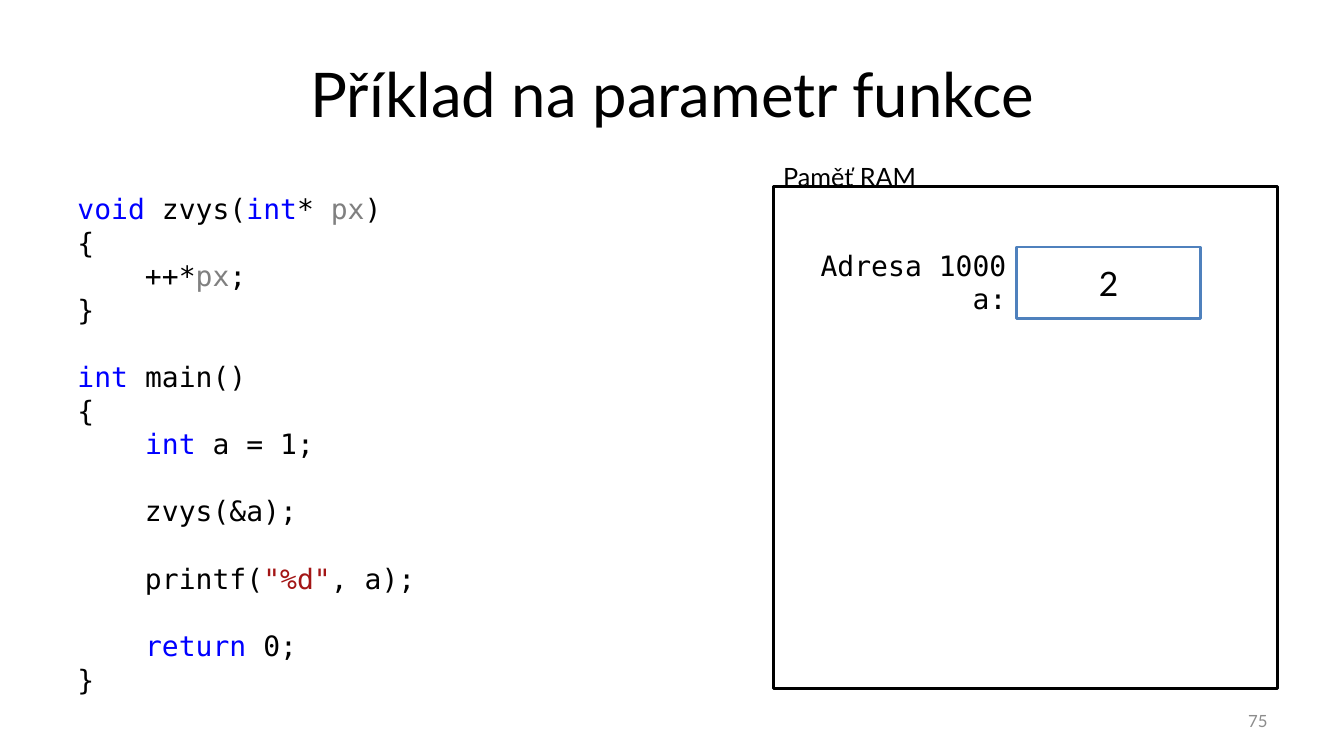
"""Build a slide showing a C pointer parameter beside a diagram of memory."""
import pptx
import pptx.util
import pptx.dml.color
import pptx.enum.shapes
import pptx.enum.text

TITLE = "Příklad na parametr funkce"
PAGE_NUMBER = "75"
MEMORY_LABEL = "Paměť RAM"
ADDRESS_LINES = ["Adresa 1000", "a:"]
STORED_VALUE = "2"
CODE_BLOCKS = [
    [
        [("void ", "keyword"), ("zvys(", "ink"), ("int", "keyword"),
         ("* ", "ink"), ("px", "parameter"), (")", "ink")],
        [("{", "ink")],
        [("    ++*", "ink"), ("px", "parameter"), (";", "ink")],
        [("}", "ink")],
    ],
    [
        [("int ", "keyword"), ("main()", "ink")],
        [("{", "ink")],
        [("    ", "ink"), ("int", "keyword"), (" a = 1;", "ink")],
    ],
    [[("    zvys(&a);", "ink")]],
    [[("    printf(", "ink"), ('"%d"', "string"), (", a);", "ink")]],
    [
        [("    ", "ink"), ("return", "keyword"), (" 0;", "ink")],
        [("}", "ink")],
    ],
]

THEME = {
    "colours": {
        "ink": "000000", "paper": "FFFFFF", "cell": "4F81BD", "number": "8C8C8C",
        "keyword": "0000FF", "parameter": "808080", "string": "A31515",
    },
    "sizes": {"title": 44, "value": 24, "code": 20, "label": 18, "number": 12},
    "fonts": {"body": "Lato", "code": "DejaVu Sans Mono"},
    "line": 2,
    "code_gap": 24,
}

Align = pptx.enum.text.PP_ALIGN
Anchor = pptx.enum.text.MSO_ANCHOR


def colour(role):
    return pptx.dml.color.RGBColor.from_string(THEME["colours"][role])


def inches(box):
    return [pptx.util.Inches(length) for length in box]


def write(shape, lines, size, font="body", ink="ink", align=Align.LEFT,
          anchor=Anchor.TOP, gaps=()):
    """Fill a shape with lines of (text, colour role) runs."""
    frame = shape.text_frame
    frame.word_wrap = True
    frame.vertical_anchor = anchor
    for index, line in enumerate(lines):
        paragraph = frame.add_paragraph() if index else frame.paragraphs[0]
        paragraph.alignment = align
        if index in gaps:
            paragraph.space_before = pptx.util.Pt(THEME["code_gap"])
        paragraph.font.name = THEME["fonts"][font]
        paragraph.font.size = pptx.util.Pt(THEME["sizes"][size])
        paragraph.font.color.rgb = colour(ink)
        for text, role in line:
            run = paragraph.add_run()
            run.text = text
            if role != ink:
                run.font.color.rgb = colour(role)


def add_text(slide, box, lines, size, **style):
    write(slide.shapes.add_textbox(*inches(box)), lines, size, **style)


def add_box(slide, box, outline):
    shape = slide.shapes.add_shape(
        pptx.enum.shapes.MSO_SHAPE.RECTANGLE, *inches(box))
    shape.shadow.inherit = False
    shape.fill.solid()
    shape.fill.fore_color.rgb = colour("paper")
    shape.line.color.rgb = colour(outline)
    shape.line.width = pptx.util.Pt(THEME["line"])
    return shape


def main():
    presentation = pptx.Presentation()
    presentation.slide_width, presentation.slide_height = inches((13.33, 7.5))
    slide = presentation.slides.add_slide(presentation.slide_layouts[6])

    add_text(slide, (0.67, 0.3, 12, 1.25), [[(TITLE, "ink")]], "title",
             align=Align.CENTER, anchor=Anchor.MIDDLE)
    add_text(slide, (9.56, 6.95, 3.11, 0.4), [[(PAGE_NUMBER, "number")]], "number",
             ink="number", align=Align.RIGHT, anchor=Anchor.MIDDLE)

    add_box(slide, (7.67, 1.85, 5, 4.98), "ink")
    add_text(slide, (7.67, 1.55, 1.86, 0.4), [[(MEMORY_LABEL, "ink")]], "label")
    value_cell = add_box(slide, (10.08, 2.45, 1.83, 0.71), "cell")
    write(value_cell, [[(STORED_VALUE, "ink")]], "value",
          align=Align.CENTER, anchor=Anchor.MIDDLE)
    add_text(slide, (8, 2.41, 2.08, 0.77),
             [[(line, "ink")] for line in ADDRESS_LINES], "code", font="code",
             align=Align.RIGHT, anchor=Anchor.MIDDLE)

    code_lines, block_starts = [], []
    for block in CODE_BLOCKS:
        block_starts.append(len(code_lines))
        code_lines.extend(block)
    add_text(slide, (0.67, 1.85, 5, 5.12), code_lines, "code", font="code",
             gaps=block_starts[1:])

    presentation.save("out.pptx")


if __name__ == "__main__":
    main()
